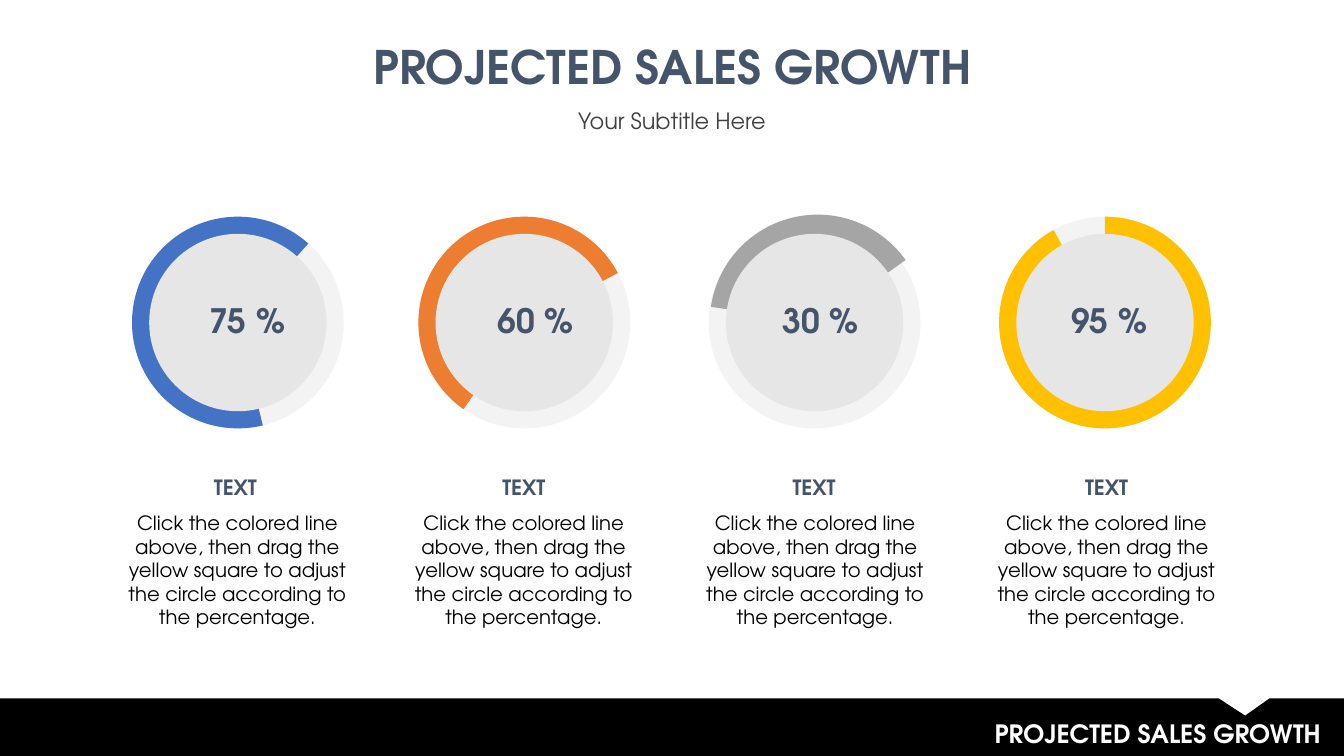
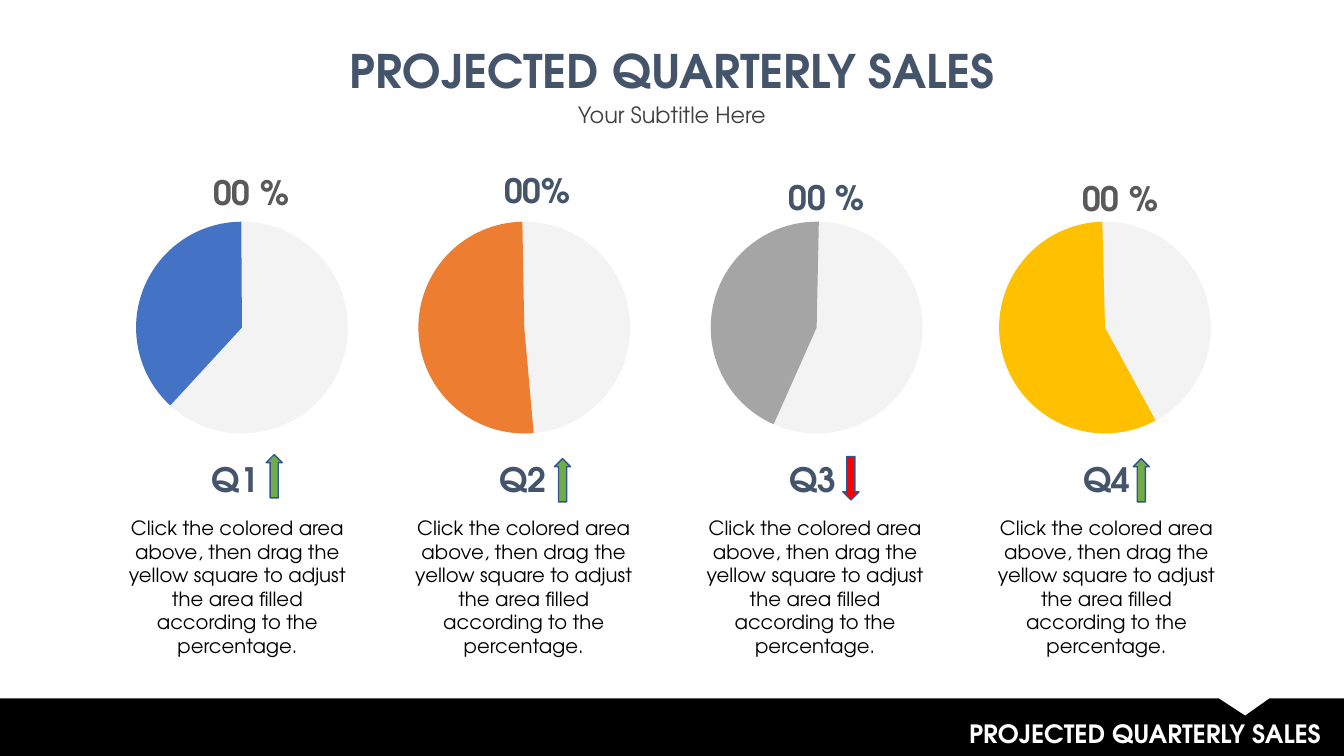
from lxml import etree
from pptx import Presentation
from pptx import util as u
from pptx.dml.color import RGBColor
from pptx.enum import shapes, text
from pptx.oxml import ns

PX = 9144  # EMU in one px, 100 px to the inch
WIDTH, HEIGHT, BAND_TOP = 1333, 750, 693
DISC, RING = 210, 17
FONT = "TeX Gyre Adventor"

SLATE, GREY, BODY_GREY = "44546A", "595959", "404040"
BLACK, WHITE, TRACK, HUB = "000000", "FFFFFF", "F2F2F2", "E7E6E6"
BLUE, ORANGE, SILVER, GOLD = "4472C4", "ED7D31", "A5A5A5", "FFC000"
GREEN, RED, ARROW_LINE = "70AD47", "FF0000", "325491"

MST = shapes.MSO_SHAPE
ALIGN, ANCHOR = text.PP_ALIGN, text.MSO_ANCHOR


def rgb(value):
    return RGBColor.from_string(value)


def px(*lengths):
    return [n * PX for n in lengths]


def style(size, color, bold=True, align=ALIGN.CENTER, spacing=None,
          anchor=ANCHOR.TOP, wrap=False, insets=(10, 5)):
    """Group format values by the object that takes them."""
    side, end = px(*insets)
    return {
        "color": color,
        "font": {"name": FONT, "size": u.Pt(size), "bold": bold},
        "paragraph": {"alignment": align, "space_before": u.Pt(0),
                      "line_spacing": u.Pt(spacing) if spacing else 1.0},
        "frame": {"word_wrap": wrap, "vertical_anchor": anchor,
                  "auto_size": text.MSO_AUTO_SIZE.SHAPE_TO_FIT_TEXT,
                  "margin_left": side, "margin_right": side,
                  "margin_top": end, "margin_bottom": end},
    }


TITLE = style(33, SLATE, spacing=50)
SUBTITLE = style(16, BODY_GREY, bold=False, anchor=ANCHOR.MIDDLE)
FOOTER = style(18, WHITE, align=ALIGN.RIGHT, wrap=True)
RING_VALUE = style(24, SLATE, insets=(0, 0))
PIE_VALUE = style(24, SLATE, spacing=18.7, insets=(0, 0))
PIE_VALUE_GREY = style(24, GREY, spacing=18.7, insets=(0, 0))
HEADING = style(15, SLATE, anchor=ANCHOR.MIDDLE)
QUARTER = style(24, SLATE, anchor=ANCHOR.MIDDLE)
BODY = style(14, BLACK, bold=False, wrap=True, insets=(12, 6))


def assign(target, values):
    for name, value in values.items():
        setattr(target, name, value)


class Deck:
    """Holds the presentation, its current slide and the shared look."""

    def __init__(self):
        self.prs = Presentation()
        self.prs.slide_width, self.prs.slide_height = px(WIDTH, HEIGHT)
        self.s = None

    def slide(self, title, title_top, subtitle, subtitle_top):
        self.s = self.prs.slides.add_slide(self.prs.slide_layouts[0])
        self.band()
        self.text((414, 708, 906, 40), title, FOOTER)
        heads = ((title, (331, title_top, 672, 73), TITLE),
                 (subtitle, (561, subtitle_top, 211, 37), SUBTITLE))
        for sp, (words, box, look) in zip(self.s.placeholders, heads):
            sp.left, sp.top, sp.width, sp.height = px(*box)
            self.set_text(sp, words, look)

    def band(self):
        notch = [(1209, BAND_TOP), (1235, 710), (1259, BAND_TOP)]
        corners = [(WIDTH, BAND_TOP), (WIDTH, HEIGHT), (0, HEIGHT)]
        builder = self.s.shapes.build_freeform(0, BAND_TOP, scale=PX)
        builder.add_line_segments(notch + corners, close=True)
        self.paint(builder.convert_to_shape(), BLACK)

    def set_text(self, sp, words, look):
        tf = sp.text_frame
        assign(tf, look["frame"])
        p = tf.paragraphs[0]
        assign(p, look["paragraph"])
        r = p.add_run()
        r.text = words
        assign(r.font, look["font"])
        r.font.color.rgb = rgb(look["color"])

    def text(self, box, words, look):
        self.set_text(self.s.shapes.add_textbox(*px(*box)), words, look)

    def paint(self, sp, fill, line=None):
        sp.shadow.inherit = False
        sp.fill.solid()
        sp.fill.fore_color.rgb = rgb(fill)
        if line:
            sp.line.color.rgb = rgb(line)
            sp.line.width = u.Pt(1)
        else:
            sp.line.fill.background()

    def shape(self, kind, box, fill, line=None):
        sp = self.s.shapes.add_shape(kind, *px(*box))
        self.paint(sp, fill, line)
        return sp

    def track(self, left, top):
        """Add the pale disc behind a sector, at 90 % opacity."""
        sp = self.shape(MST.OVAL, (left, top, DISC, DISC), TRACK)
        color = sp.element.spPr.find(".//" + ns.qn("a:srgbClr"))
        etree.SubElement(color, ns.qn("a:alpha"), val="90000")

    def sector(self, left, top, size, fill, start, end):
        """Add a pie; angles are degrees clockwise from three o'clock."""
        sp = self.shape(MST.PIE, (left, top, size, size), fill)
        for i, angle in enumerate((start, end)):
            sp.adjustments[i] = angle * 0.6

    def hub(self, left, top):
        size = DISC - 2 * RING
        self.shape(MST.OVAL, (left + RING, top + RING, size, size), HUB)

    def arrow(self, left, top, rising):
        kind, fill = (MST.UP_ARROW, GREEN) if rising else (MST.DOWN_ARROW, RED)
        self.shape(kind, (left, top, 16, 43), fill, ARROW_LINE)


# Left edges of the four columns of body text
COLUMNS = (109, 393, 682, 971)


def growth_slide(deck):
    deck.slide("PROJECTED SALES GROWTH", 19, "Your Subtitle Here", 101)
    top = 215
    # disc left, sector size, colour, start, end, value, value left, heading left
    rings = (
        (131, 210, BLUE, 76.4, 311.71, "75 %", 175, 202),
        (415, 210, ORANGE, 125.05, 332.13, "60 %", 461, 488),
        (703, 214, SILVER, 188.34, 324.6, "30 %", 744, 776),
        (991, 210, GOLD, 270, 240.94, "95 %", 1030, 1066),
    )
    for column, ring in zip(COLUMNS, rings):
        left, size, fill, start, end, value, value_left, heading_left = ring
        grow = (size - DISC) // 2
        deck.track(left, top)
        deck.sector(left + grow // 2, top - grow, size, fill, start, end)
        deck.hub(left, top)
        deck.text((value_left, 298, 140, 40), value, RING_VALUE)
        deck.text((heading_left, 466, 63, 35), "TEXT", HEADING)
        deck.text((column, 501, 253, 130),
                  "Click the colored line above, then drag the yellow square "
                  "to adjust the circle according to the percentage.", BODY)


def quarterly_slide(deck):
    deck.slide("PROJECTED QUARTERLY SALES", 23, "Your Subtitle Here", 95)
    top = 220
    # disc left, colour, start, end, value, value place, value style,
    # quarter left, arrow place, rising
    quarters = (
        (135, BLUE, 132.62, 269.64, "00 %", (184, 185), PIE_VALUE_GREY,
         200, (264, 451), True),
        (415, ORANGE, 84.9, 268.97, "00%", (468, 183), PIE_VALUE,
         485, (550, 455), True),
        (705, SILVER, 113.96, 271.2, "00 %", (755, 190), PIE_VALUE,
         773, (836, 453), False),
        (991, GOLD, 61.46, 268.54, "00 %", (1046, 191), PIE_VALUE_GREY,
         1064, (1124, 455), True),
    )
    for n, (column, quarter) in enumerate(zip(COLUMNS, quarters), 1):
        (left, fill, start, end, value, value_at, look,
         name_left, arrow_at, rising) = quarter
        deck.track(left, top)
        deck.sector(left, top, DISC, fill, start, end)
        deck.text((*value_at, 130, 27), value, look)
        deck.text((name_left, 450, 67, 50), f"Q{n}", QUARTER)
        deck.text((column, 506, 253, 153),
                  "Click the colored area above, then drag the yellow square "
                  "to adjust the area filled according to the percentage.", BODY)
        deck.arrow(*arrow_at, rising)


def main():
    deck = Deck()
    growth_slide(deck)
    quarterly_slide(deck)
    deck.prs.save("out.pptx")


if __name__ == "__main__":
    main()
